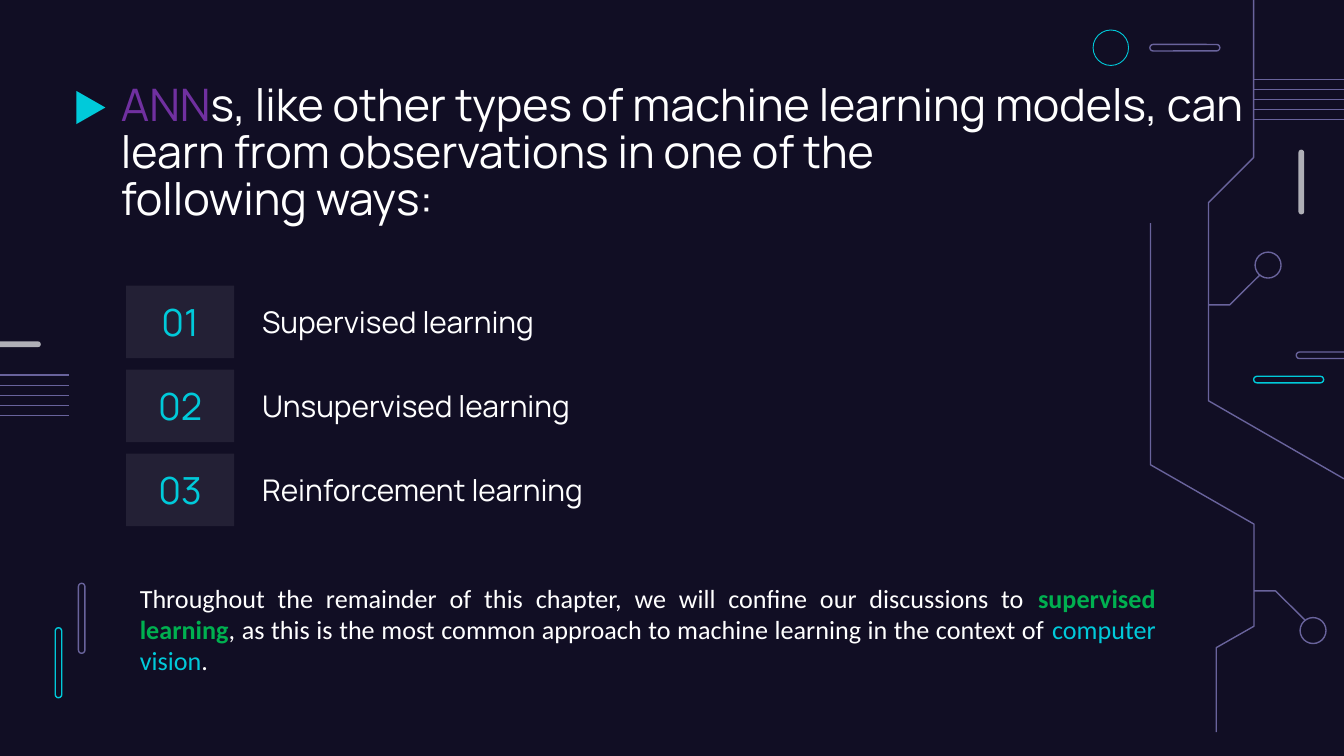
from dataclasses import dataclass

from lxml import etree
from pptx import Presentation
from pptx import util as u
from pptx.dml import color
from pptx.enum import shapes, text
from pptx.oxml import ns

NAVY = color.RGBColor(0x11, 0x0E, 0x24)
CYAN = color.RGBColor(0x00, 0xCA, 0xDA)
VIOLET = color.RGBColor(0x69, 0x63, 0x9C)
PURPLE = color.RGBColor(0x70, 0x30, 0xA0)
GREEN = color.RGBColor(0x00, 0xB0, 0x50)
GREY = color.RGBColor(0xAF, 0xAF, 0xB6)
WHITE = color.RGBColor(0xFF, 0xFF, 0xFF)

HEADING_FONT = "Manrope"
ROW_TOP, ROW_PITCH, ROW_HEIGHT = 153, 45, 38.9
RULE_PITCH = 5.4


@dataclass
class Box:
    left: float
    top: float
    width: float
    height: float

    def lengths(self) -> list:
        return [u.Pt(value) for value in (self.left, self.top, self.width, self.height)]


@dataclass
class Outline:
    kind: shapes.MSO_SHAPE
    box: Box
    line: color.RGBColor | None = VIOLET
    fill: color.RGBColor | None = None
    weight: float = 0.75
    rotation: float = 0


@dataclass
class Span:
    words: str
    colour: color.RGBColor = WHITE
    bold: bool = False


@dataclass
class Rules:
    left: float
    right: float
    top: float


PILL, OVAL = shapes.MSO_SHAPE.ROUNDED_RECTANGLE, shapes.MSO_SHAPE.OVAL
OUTLINES = [
    Outline(PILL, Box(29.6, 336.3, 3.5, 37.5), CYAN),
    Outline(PILL, Box(42, 312.5, 3.5, 37.5)),
    Outline(PILL, Box(671.6, 201.6, 37.5, 3.5), CYAN),
    Outline(PILL, Box(694.4, 188.6, 37.5, 3.5)),
    Outline(PILL, Box(616, 23.8, 37.5, 3.5)),
    Outline(PILL, Box(695.6, 80.2, 3.1, 34.7), None, GREY),
    Outline(PILL, Box(-12.8, 182.9, 34.7, 3.1), None, GREY),
    Outline(OVAL, Box(585.6, 16.1, 19, 19), CYAN, weight=0.47),
    Outline(OVAL, Box(672.4, 135.1, 13.9, 13.9)),
    Outline(OVAL, Box(696.5, 330.9, 13.9, 13.9)),
    Outline(shapes.MSO_SHAPE.FLOWCHART_MERGE, Box(39.8, 49.8, 17.8, 15.6), None, CYAN, rotation=270),
]
TRACES = [
    [(720, 256.5), (647.4, 214.7), (647.4, 108.6), (671.6, 84.4), (671.6, 0)],
    [(647.4, 163.3), (658.8, 163.3), (674.8, 147.4)],
    [(616.4, 119.6), (616.4, 249), (671.8, 280.8), (671.8, 335.5), (651.6, 347), (651.6, 392.2)],
    [(671.8, 316.6), (683.3, 316.6), (699.1, 332.2)],
]
RULE_GROUPS = [Rules(671.6, 720, 42.6), Rules(0, 37.2, 201)]
WAYS = ["Supervised learning", "Unsupervised learning", "Reinforcement learning"]
TITLE = [
    Span("ANN", PURPLE),
    Span("s, like other types of machine learning models, can learn from observations in one of the"),
    Span("\n"),
    Span("following ways:"),
]
REMARK = [
    Span("Throughout the remainder of this chapter, we will confine our discussions to "),
    Span("supervised learning", GREEN, True),
    Span(", as this is the most common approach to machine learning in the context of "),
    Span("computer vision", CYAN),
    Span("."),
]


def apply_format(target: object, values: dict) -> None:
    for name, value in values.items():
        setattr(target, name, value)


def paint(shape, line: color.RGBColor | None, fill: color.RGBColor | None, weight: float = 0.75) -> None:
    shape.shadow.inherit = False
    if fill is None:
        shape.fill.background()
    else:
        shape.fill.solid()
        shape.fill.fore_color.rgb = fill
    if line is None:
        shape.line.fill.background()
    else:
        shape.line.color.rgb = line
        shape.line.width = u.Pt(weight)


def draw_outline(slide, outline: Outline) -> None:
    shape = slide.shapes.add_shape(outline.kind, *outline.box.lengths())
    shape.rotation = outline.rotation
    if outline.kind == PILL:
        shape.adjustments[0] = 0.5
    paint(shape, outline.line, outline.fill, outline.weight)


def draw_trace(slide, points: list[tuple[float, float]]) -> None:
    start, *rest = [(u.Pt(x), u.Pt(y)) for x, y in points]
    builder = slide.shapes.build_freeform(*start)
    builder.add_line_segments(rest, close=False)
    paint(builder.convert_to_shape(), VIOLET, None)


def draw_rules(slide, rules: Rules) -> None:
    for index in range(5):
        y = u.Pt(rules.top + index * RULE_PITCH)
        connector = slide.shapes.add_connector(
            shapes.MSO_CONNECTOR.STRAIGHT, u.Pt(rules.left), y, u.Pt(rules.right), y)
        connector.line.color.rgb = VIOLET
        connector.line.width = u.Pt(0.75)
        properties = connector._element.find(ns.qn("p:spPr"))
        etree.SubElement(properties, ns.qn("a:effectLst"))


def write(shape, box: Box, spans: list[Span], size: float, font: str = HEADING_FONT,
          align=text.PP_ALIGN.LEFT, anchor=text.MSO_ANCHOR.MIDDLE,
          inset: float = 7.2, spacing: float = 1.0) -> None:
    apply_format(shape, dict(zip(("left", "top", "width", "height"), box.lengths())))
    frame = shape.text_frame
    apply_format(frame, {
        "word_wrap": True, "auto_size": text.MSO_AUTO_SIZE.NONE, "vertical_anchor": anchor,
        "margin_left": u.Pt(7.2), "margin_right": u.Pt(7.2),
        "margin_top": u.Pt(inset), "margin_bottom": u.Pt(inset),
    })
    paragraph = frame.paragraphs[0]
    apply_format(paragraph, {"alignment": align, "line_spacing": spacing,
                             "space_before": u.Pt(0), "space_after": u.Pt(0)})
    properties = paragraph._p.get_or_add_pPr()
    properties.set("marL", "0")
    properties.set("indent", "0")
    etree.SubElement(properties, ns.qn("a:buNone"))
    for span in spans:
        if span.words == "\n":
            paragraph.add_line_break()
            continue
        run = paragraph.add_run()
        run.text = span.words
        apply_format(run.font, {"size": u.Pt(size), "name": font, "bold": span.bold})
        run.font.color.rgb = span.colour


def draw_number(slide, number: int, top: float) -> None:
    box = Box(67.6, top, 57.8, ROW_HEIGHT)
    shape = slide.shapes.add_shape(shapes.MSO_SHAPE.RECTANGLE, *box.lengths())
    paint(shape, None, WHITE)
    fill_colour = shape._element.spPr.find(ns.qn("a:solidFill"))[0]
    etree.SubElement(fill_colour, ns.qn("a:alpha"), val="8000")
    write(shape, box, [Span(f"{number:02d}", CYAN)], 20, align=text.PP_ALIGN.CENTER)


def main() -> None:
    presentation = Presentation()
    apply_format(presentation, {"slide_width": u.Pt(720), "slide_height": u.Pt(405)})
    slide = presentation.slides.add_slide(presentation.slide_layouts.get_by_name("Comparison"))
    slide.background.fill.solid()
    slide.background.fill.fore_color.rgb = NAVY

    for outline in OUTLINES:
        draw_outline(slide, outline)
    for points in TRACES:
        draw_trace(slide, points)
    for rules in RULE_GROUPS:
        draw_rules(slide, rules)

    title, *bodies, remark = list(slide.placeholders)[:5]
    write(title, Box(57.6, 37.4, 630, 74.2), TITLE, 24, anchor=text.MSO_ANCHOR.TOP, spacing=0.88)
    for index, (body, way) in enumerate(zip(bodies, WAYS)):
        top = ROW_TOP + index * ROW_PITCH
        draw_number(slide, index + 1, top)
        write(body, Box(133.2, top, 213.8, ROW_HEIGHT), [Span(way)], 16)
    write(remark, Box(67.7, 308.2, 558.7, 58.3), REMARK, 14, "Calibri",
          text.PP_ALIGN.JUSTIFY, text.MSO_ANCHOR.TOP, 3.6)
    presentation.save("out.pptx")


if __name__ == "__main__":
    main()
